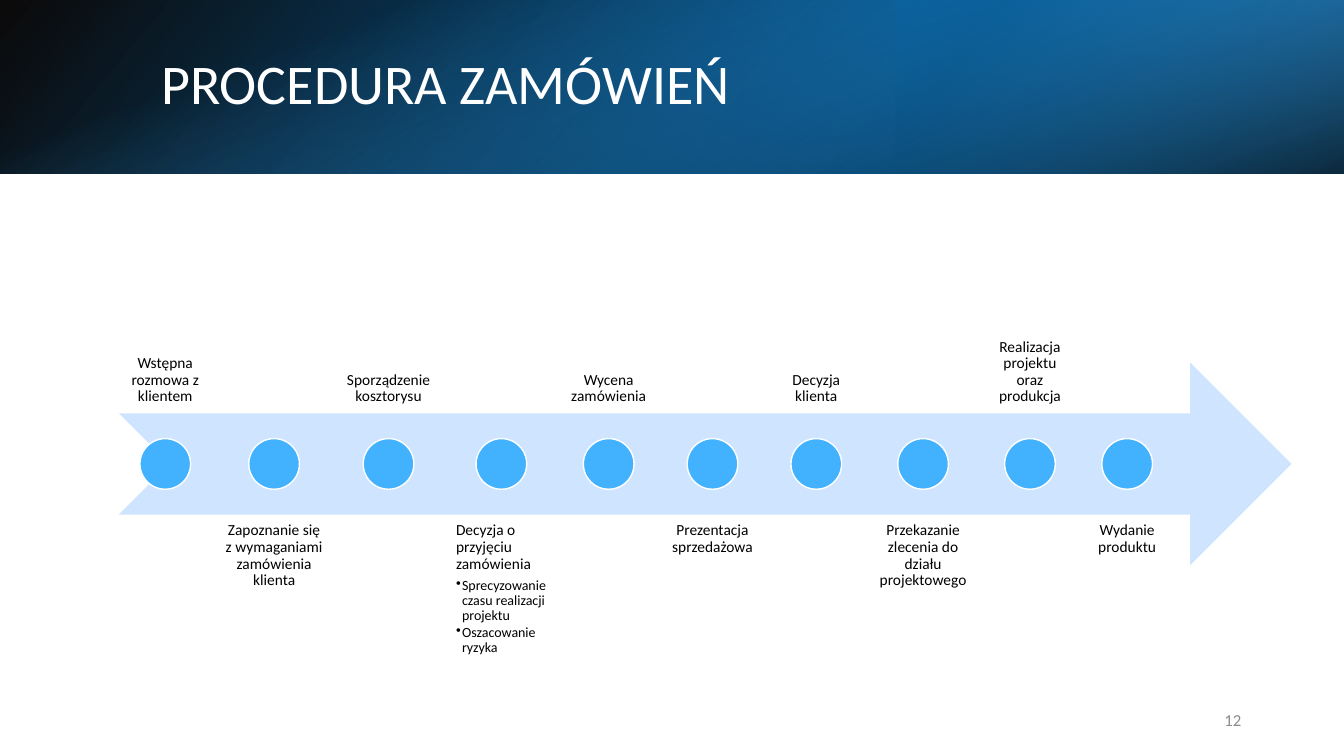
from lxml import etree
from pptx import Presentation
from pptx import util as u
from pptx.dml.color import RGBColor
from pptx.enum import shapes, text
from pptx.oxml.ns import qn

COLORS = {
    "white": "FFFFFF", "black": "000000", "grey": "8C8C8C", "arrow": "CFE4FF",
    "sky": "42B2FF", "azure": "008FF1", "navy": "005FA0",
}
ANCHOR, ALIGN, SHAPE = text.MSO_ANCHOR, text.PP_ALIGN, shapes.MSO_SHAPE

deck = Presentation()
deck.slide_width, deck.slide_height = u.Inches(13.33), u.Inches(7.5)
W, H = deck.slide_width, deck.slide_height
col, row = W / 100, H / 100
slide = deck.slides.add_slide(deck.slide_layouts[6])


def add_figure(preset, left, top, width, height, fill=None):
    figure = slide.shapes.add_shape(preset, *map(round, (left, top, width, height)))
    figure.shadow.inherit = False
    figure.line.fill.background()
    if fill:
        figure.fill.solid()
        figure.fill.fore_color.rgb = RGBColor.from_string(COLORS[fill])
    return figure


def add_text(left, top, width, height, lines, size, color, align, anchor, inset=None):
    frame = slide.shapes.add_textbox(*map(round, (left, top, width, height))).text_frame
    frame.word_wrap = True
    frame.vertical_anchor = anchor
    if inset:
        frame.margin_left = frame.margin_right = inset
        frame.margin_top = frame.margin_bottom = inset
    for number, line in enumerate(lines):
        paragraph = frame.add_paragraph() if number else frame.paragraphs[0]
        paragraph.alignment = align
        paragraph.line_spacing = 0.9
        paragraph.space_after = u.Pt(1.5 if number else 4)
        if number:
            props = paragraph._p.get_or_add_pPr()
            props.set("marL", str(u.Inches(0.06)))
            props.set("indent", str(-u.Inches(0.06)))
            etree.SubElement(props, qn("a:buChar")).set("char", "•")
        run = paragraph.add_run()
        run.text = line
        run.font.name = "Calibri"
        run.font.size = u.Pt(size - 1 if number else size)
        run.font.color.rgb = RGBColor.from_string(COLORS[color])
    return frame


band = 23 * row
banner_layers = [
    ((0, 0, W, band), 0, True, 140, [(0, "black", 96), (100, "azure", 100)]),
    ((W * 2 / 3, 0, W / 3, band), 180, True, 320, [(19, "navy", 68), (100, "sky", 79)]),
    (((W - band) / 2, (band - W) / 2, band, W), 90, False, 340,
     [(23, "sky", 0), (99, "black", 74)]),
]
for place, rotation, flipped, angle, stops in banner_layers:
    layer = add_figure(SHAPE.RECTANGLE, *place)
    layer.rotation = rotation
    if flipped:
        layer._element.spPr.xfrm.set("flipH", "1")
    layer.fill.gradient()
    layer.fill.gradient_angle = 360 - angle
    for stop, (position, color, _) in zip(layer.fill.gradient_stops, stops):
        stop.position = position / 100
        stop.color.rgb = RGBColor.from_string(COLORS[color])
    for tint, (_, _, opacity) in zip(layer._element.spPr.iter(qn("a:srgbClr")), stops):
        etree.SubElement(tint, qn("a:alpha")).set("val", str(opacity * 1000))

add_text(11.25 * col, 5 * row, 82.4 * col, 12.8 * row, ["PROCEDURA ZAMÓWIEŃ"],
         40, "white", ALIGN.LEFT, ANCHOR.MIDDLE)

steps = [
    (6.9, ["Wstępna rozmowa z klientem"]),
    (8.63, ["Zapoznanie się z wymaganiami zamówienia klienta"]),
    (7.73, ["Sporządzenie kosztorysu"]),
    (8.4, ["Decyzja o przyjęciu zamówienia",
           "Sprecyzowanie czasu realizacji projektu", "Oszacowanie ryzyka"]),
    (6.9, ["Wycena zamówienia"]),
    (7.88, ["Prezentacja sprzedażowa"]),
    (6.9, ["Decyzja klienta"]),
    (8.33, ["Przekazanie zlecenia do działu projektowego"]),
    (6.9, ["Realizacja projektu oraz produkcja"]),
    (6.9, ["Wydanie produktu"]),
]
flow_left, flow_top = 8.85 * col, 27.87 * row
flow_height = 67 * row
label_height, dot = flow_height * 0.4, flow_height * 0.1
steps_width = 78.47 * col
gap = (steps_width - sum(width for width, _ in steps) * col) / (len(steps) - 1)

add_figure(SHAPE.NOTCHED_RIGHT_ARROW, flow_left, flow_top + flow_height * 0.3,
           87.25 * col, label_height, "arrow")

step_left = flow_left
for index, (columns, lines) in enumerate(steps):
    step_width = columns * col
    below = index % 2
    detailed = len(lines) > 1
    label = add_text(step_left, flow_top + flow_height * 0.6 * below, step_width,
                     label_height, lines, 11, "black",
                     ALIGN.LEFT if detailed else ALIGN.CENTER,
                     ANCHOR.TOP if below else ANCHOR.BOTTOM, u.Inches(0.08))
    if detailed:
        label.margin_left = u.Inches(0.11)
    marker = add_figure(SHAPE.OVAL, step_left + (step_width - dot) / 2,
                        flow_top + flow_height * 0.45, dot, dot, "sky")
    marker.line.color.rgb = RGBColor.from_string(COLORS["white"])
    marker.line.width = u.Pt(1)
    step_left += step_width + gap

add_text(70.6 * col, 92.75 * row, 22.5 * col, 5.33 * row, ["12"],
         12, "grey", ALIGN.RIGHT, ANCHOR.MIDDLE)

deck.save("out.pptx")
